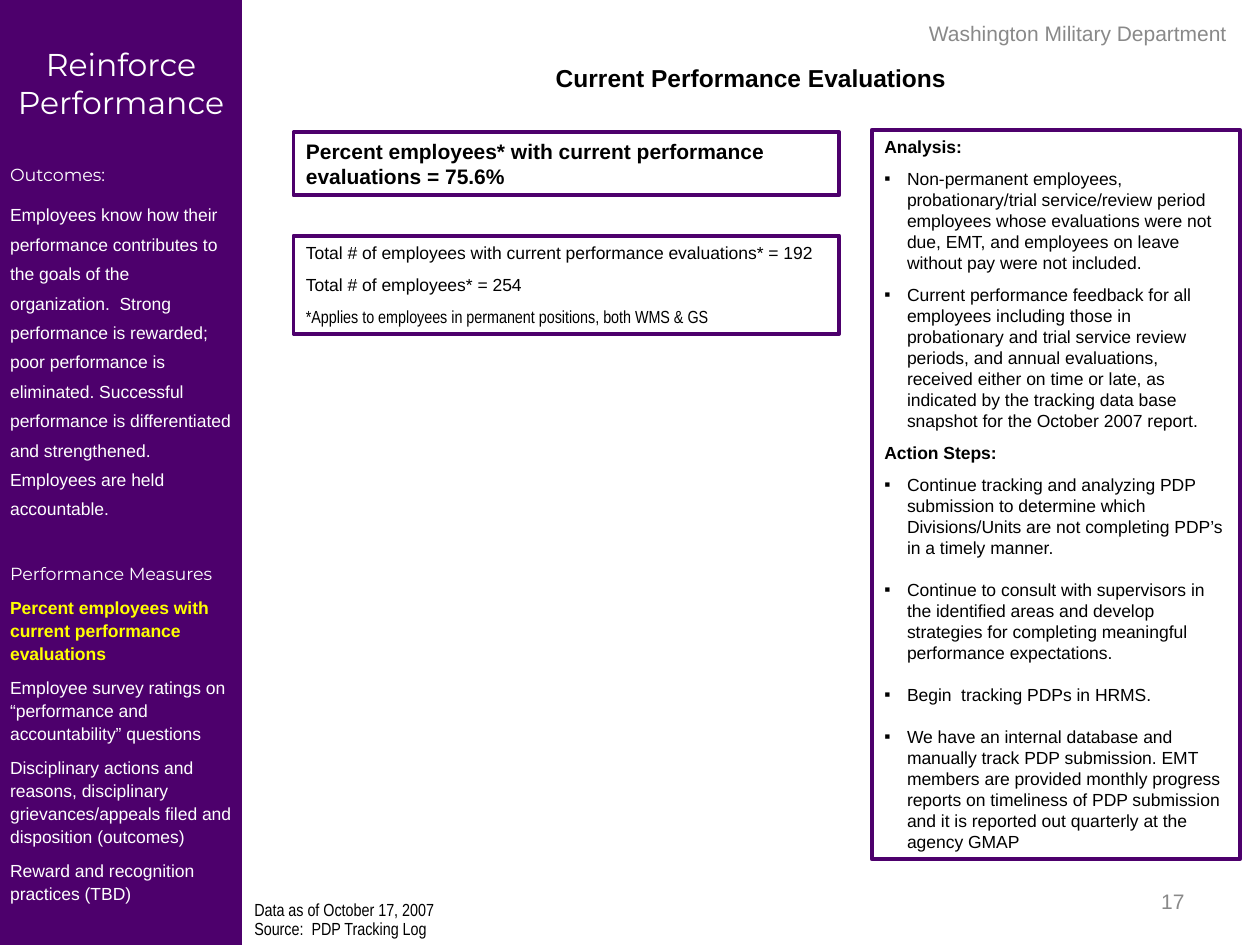
from dataclasses import dataclass
from typing import Optional, Sequence

import pptx
import pptx.dml.color
import pptx.enum.shapes
import pptx.enum.text
import pptx.oxml.ns
import pptx.util
from lxml import etree

Inches = pptx.util.Inches
Pt = pptx.util.Pt
RGBColor = pptx.dml.color.RGBColor
Align = pptx.enum.text.PP_ALIGN
Anchor = pptx.enum.text.MSO_ANCHOR

PURPLE = RGBColor(0x4D, 0x00, 0x6C)
WHITE = RGBColor(0xFF, 0xFF, 0xFF)
YELLOW = RGBColor(0xFF, 0xFF, 0x00)
BLACK = RGBColor(0x00, 0x00, 0x00)
GRAY = RGBColor(0x89, 0x89, 0x89)

HANGING = Inches(0.18)
GAP = 6.2  # usual space before a paragraph, in points
SECTION_GAP = 24.6  # space before a new sidebar section
ITEM_GAP = 12  # space between action steps


@dataclass
class Para:
    text: str
    size: float = 10
    font: str = "Arial"
    color: RGBColor = BLACK
    bold: bool = False
    align: Align = Align.LEFT
    before: float = 0
    line: Optional[float] = None
    hanging: bool = False
    bullet: bool = False


@dataclass
class Box:
    left: float
    top: float
    width: float
    height: float
    paras: Sequence[Para]
    anchor: Anchor = Anchor.TOP
    side_inset: float = 0.1
    top_inset: float = 0.05


def add_bullet(paragraph) -> None:
    props = paragraph._p.get_or_add_pPr()
    bullet_color = etree.SubElement(props, pptx.oxml.ns.qn("a:buClr"))
    etree.SubElement(bullet_color, pptx.oxml.ns.qn("a:srgbClr"), val=str(BLACK))
    etree.SubElement(props, pptx.oxml.ns.qn("a:buFont"), typeface="Arial")
    etree.SubElement(props, pptx.oxml.ns.qn("a:buChar"), char="▪")


def write_text(shape, box: Box) -> None:
    frame = shape.text_frame
    frame.word_wrap = True
    frame.vertical_anchor = box.anchor
    frame.margin_left = frame.margin_right = Inches(box.side_inset)
    frame.margin_top = Inches(box.top_inset)
    frame.margin_bottom = Inches(0.05)
    frame.text = "\n".join(para.text for para in box.paras)
    for paragraph, para in zip(frame.paragraphs, box.paras):
        if para.hanging:
            props = paragraph._p.get_or_add_pPr()
            props.set("marL", str(HANGING))
            props.set("indent", str(-HANGING))
        if para.bullet:
            add_bullet(paragraph)
        paragraph.alignment = para.align
        paragraph.space_before = Pt(para.before)
        if para.line:
            paragraph.line_spacing = para.line
        for run in paragraph.runs:
            run.font.size = Pt(para.size)
            run.font.name = para.font
            run.font.bold = para.bold
            run.font.color.rgb = para.color


def add_label(slide, box: Box) -> None:
    label = slide.shapes.add_textbox(
        Inches(box.left), Inches(box.top), Inches(box.width), Inches(box.height))
    write_text(label, box)


def add_panel(slide, box: Box, fill: Optional[RGBColor] = None) -> None:
    """Draw a filled panel, or an outlined one when no fill is given."""
    panel = slide.shapes.add_shape(
        pptx.enum.shapes.MSO_SHAPE.RECTANGLE,
        Inches(box.left), Inches(box.top), Inches(box.width), Inches(box.height))
    panel.shadow.inherit = False
    if fill is None:
        panel.fill.background()
        panel.line.color.rgb = PURPLE
        panel.line.width = Pt(2.25)
    else:
        panel.fill.solid()
        panel.fill.fore_color.rgb = fill
        panel.line.fill.background()
    write_text(panel, box)


def sidebar_heading(text: str) -> Para:
    return Para(text, font="Montserrat", color=WHITE, before=SECTION_GAP)


def measure(text: str, color: RGBColor = WHITE, bold: bool = False) -> Para:
    return Para(text, color=color, bold=bold, before=GAP, line=1.1)


def heading(text: str, before: float = GAP) -> Para:
    return Para(text, bold=True, before=before, hanging=True)


def item(text: str, before: float = GAP) -> Para:
    return Para(text, before=before, hanging=True, bullet=True)


SIDEBAR = Box(0, 0, 1.92, 7.58, [
    Para("Reinforce Performance", 18, "Montserrat", WHITE, align=Align.CENTER),
    sidebar_heading("Outcomes:"),
    Para("Employees know how their performance contributes to the goals of the "
         "organization.  Strong performance is rewarded; poor performance is "
         "eliminated. Successful performance is differentiated and strengthened. "
         "Employees are held accountable.", color=WHITE, before=GAP, line=1.4),
    sidebar_heading("Performance Measures"),
    measure("Percent employees with current performance evaluations", YELLOW, True),
    measure("Employee survey ratings on “performance and accountability” questions"),
    measure("Disciplinary actions and reasons, disciplinary grievances/appeals "
            "filed and disposition (outcomes)"),
    measure("Reward and recognition practices (TBD)"),
], side_inset=0.08, top_inset=0.36)

ANALYSIS = Box(6.92, 1.03, 2.92, 5.79, [
    heading("Analysis:", before=0),
    item("Non-permanent employees, probationary/trial service/review period "
         "employees whose evaluations were not due, EMT, and employees on leave "
         "without pay were not included."),
    item("Current performance feedback for all employees including those in "
         "probationary and trial service review periods, and annual evaluations, "
         "received either on time or late, as indicated by the tracking data base "
         "snapshot for the October 2007 report."),
    heading("Action Steps:"),
    item("Continue tracking and analyzing PDP submission to determine which "
         "Divisions/Units are not completing PDP’s in a timely manner."),
    item("Continue to consult with supervisors in the identified areas and develop "
         "strategies for completing meaningful performance expectations.", ITEM_GAP),
    item("Begin  tracking PDPs in HRMS.", ITEM_GAP),
    item("We have an internal database and manually track PDP submission. EMT members "
         "are provided monthly progress reports on timeliness of PDP submission and "
         "it is reported out quarterly at the agency GMAP", ITEM_GAP),
])

RESULT = Box(2.33, 1.05, 4.33, 0.5, [
    Para("Percent employees* with current performance evaluations = 75.6%",
         12, bold=True)])

TOTALS = Box(2.33, 1.87, 4.33, 0.78, [
    Para("Total # of employees with current performance evaluations* = 192"),
    Para("Total # of employees* = 254", before=GAP),
    Para("*Applies to employees in permanent positions, both WMS & GS",
         font="Arial Narrow", before=GAP)])

LABELS = [
    Box(6.97, 0.06, 3.17, 0.4, [
        Para("Washington Military Department", 12, color=GRAY, align=Align.CENTER)],
        Anchor.MIDDLE),
    Box(7.17, 6.95, 2.33, 0.4, [
        Para("17", 12, color=GRAY, align=Align.RIGHT)], Anchor.MIDDLE),
    Box(1.92, 7.13, 4.83, 0.37, [
        Para("Data as of October 17, 2007", font="Arial Narrow", line=0.7),
        Para("Source:  PDP Tracking Log", font="Arial Narrow", before=2.5, line=0.7)]),
    Box(2, 0.45, 7.92, 0.34, [
        Para("Current Performance Evaluations", 14, bold=True, align=Align.CENTER)]),
]


def main() -> None:
    deck = pptx.Presentation()
    deck.slide_width, deck.slide_height = Inches(10), Inches(7.5)
    slide = deck.slides.add_slide(deck.slide_layouts[6])

    # Sidebar, then the outlined panels
    add_panel(slide, SIDEBAR, PURPLE)
    for box in (ANALYSIS, RESULT, TOTALS):
        add_panel(slide, box)

    # Header, page number, data source and title
    for box in LABELS:
        add_label(slide, box)

    deck.save("out.pptx")


if __name__ == "__main__":
    main()
